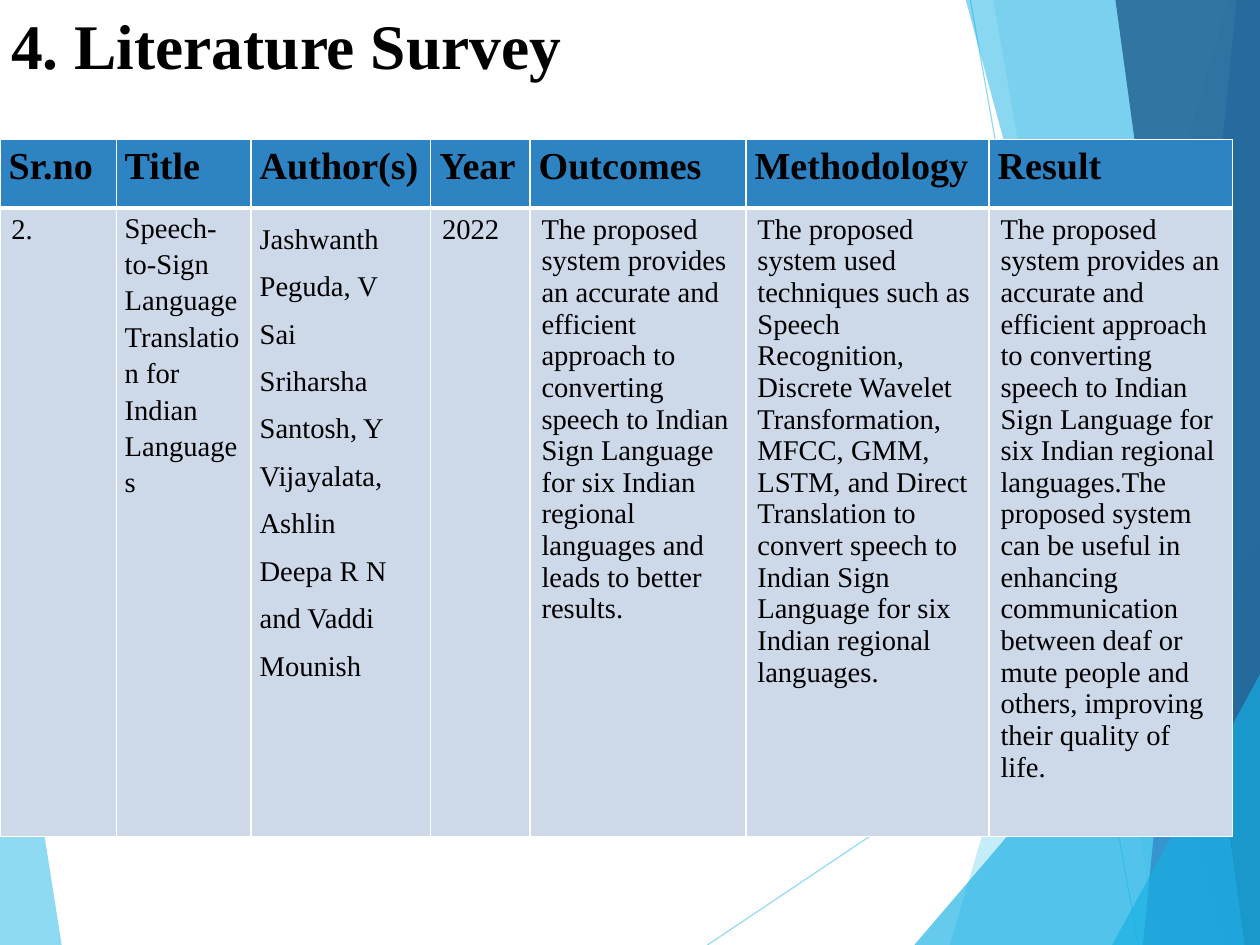
from dataclasses import dataclass

from lxml import etree
from pptx import Presentation
from pptx import util as u
from pptx.dml import color as col
from pptx.enum import shapes as sh
from pptx.enum import text as tx
from pptx.oxml import ns

WIDE, HIGH = 793.75, 595.25


@dataclass(frozen=True)
class Theme:
    font: str = "Times New Roman"
    ink: str = "000000"
    white: str = "FFFFFF"
    pale: str = "5FCBEF"
    sky: str = "17B0E4"
    blue: str = "2E83C3"
    navy: str = "226292"
    body: str = "CDD9E9"
    title: int = 40
    head: int = 24
    text: int = 18


@dataclass(frozen=True)
class Band:
    points: tuple
    fill: str
    alpha: int


@dataclass(frozen=True)
class Ray:
    start: tuple
    end: tuple


@dataclass(frozen=True)
class Style:
    """Margins and spacing of a text."""
    left: float = 7.2
    right: float = 7.2
    top: float = 3.6
    line: float = 1
    before: float = 0
    after: float = 0


@dataclass(frozen=True)
class Column:
    width: float
    head: str
    text: str
    style: Style


T = Theme()
PLAIN = Style()
TIGHT = Style(5.4, 5.4, 0, 1.15, 0.1, 6)
LOOSE = Style(5.4, 20, 0, 1.5, 0, 10)


def right(top: float, foot: float) -> tuple:
    """Outline from a slanted left edge to the right side of the slide."""
    return (top, 0), (foot, HIGH), (WIDE, HIGH), (WIDE, 0)


def wedge(foot: float, rise: float) -> tuple:
    """Triangle in the lower right corner."""
    return (foot, HIGH), (WIDE, rise), (WIDE, HIGH)


DECOR = (
    Band(((0, 348.5), (38.9, HIGH), (0, HIGH)), T.pale, 70),
    Ray((445.7, HIGH), (WIDE, 362.2)),
    Ray((611.3, 0), (717.1, HIGH)),
    Band(right(774, 598.3), T.pale, 36),
    Band(right(625.7, 730.1), T.pale, 20),
    Band(wedge(576, 340.6), T.sky, 66),
    Band(right(608.4, 769.7), T.sky, 50),
    Band(right(779, 720), T.blue, 70),
    Band(right(702.7, 784.1), T.navy, 82),
    Band(wedge(700.6, 424.8), T.sky, 66),
)

SHARED = ("The proposed system provides an accurate and efficient approach to "
          "converting speech to Indian Sign Language for six Indian regional languages")

COLUMNS = (
    Column(73.2, "Sr.no", "2.", PLAIN),
    Column(85, "Title", "Speech-to-Sign Language Translation for Indian Languages", TIGHT),
    Column(113.2, "Author(s)", "Jashwanth Peguda, V Sai Sriharsha Santosh, Y Vijayalata, "
           "Ashlin Deepa R N and Vaddi Mounish", LOOSE),
    Column(62.6, "Year", "2022", PLAIN),
    Column(136, "Outcomes", SHARED + " and leads to better results.", PLAIN),
    Column(153.2, "Methodology", "The proposed system used techniques such as Speech "
           "Recognition, Discrete Wavelet Transformation, MFCC, GMM, LSTM, and Direct "
           "Translation to convert speech to Indian Sign Language for six Indian regional "
           "languages.", PLAIN),
    Column(153.2, "Result", SHARED + ".The proposed system can be useful in enhancing "
           "communication between deaf or mute people and others, improving their quality "
           "of life.", PLAIN),
)
ROWS = (43.2, 372.2)
FRAME = 439.2


def rgb(code: str) -> col.RGBColor:
    return col.RGBColor.from_string(code)


def fade(item, alpha: int) -> None:
    for tone in item.element.spPr.iter(ns.qn("a:srgbClr")):
        etree.SubElement(tone, ns.qn("a:alpha")).set("val", str(alpha * 1000))


def draw_band(slide, band: Band) -> None:
    first, *rest = [(u.Pt(x), u.Pt(y)) for x, y in band.points]
    build = slide.shapes.build_freeform(*first)
    build.add_line_segments(rest, close=True)
    shape = build.convert_to_shape()
    shape.shadow.inherit = False
    shape.fill.solid()
    shape.fill.fore_color.rgb = rgb(band.fill)
    shape.line.fill.background()
    fade(shape, band.alpha)


def draw_ray(slide, ray: Ray) -> None:
    ends = [u.Pt(n) for n in ray.start + ray.end]
    line = slide.shapes.add_connector(sh.MSO_CONNECTOR.STRAIGHT, *ends)
    line.line.color.rgb = rgb(T.pale)
    line.line.width = u.Pt(0.75)
    fade(line, 70)
    etree.SubElement(line.element.spPr, ns.qn("a:effectLst"))


def write(frame, words: str, size: int, bold: bool, style: Style) -> None:
    frame.text = words
    para = frame.paragraphs[0]
    if style != PLAIN:
        para.line_spacing = style.line
        para.space_before = u.Pt(style.before)
        para.space_after = u.Pt(style.after)
    font = para.runs[0].font
    font.name, font.size, font.bold = T.font, u.Pt(size), bold
    font.color.rgb = rgb(T.ink)


def edge(cell, thick: str) -> None:
    """White borders, with a heavy rule on the thick side."""
    props = cell._tc.get_or_add_tcPr()
    for side in "LRTB":
        line = etree.SubElement(props, ns.qn("a:ln" + side))
        line.set("w", str(u.Pt(3 if side == thick else 1)))
        fill = etree.SubElement(line, ns.qn("a:solidFill"))
        etree.SubElement(fill, ns.qn("a:srgbClr")).set("val", T.white)


def fill_cell(cell, words: str, style: Style, head: bool) -> None:
    edge(cell, "B" if head else "T")
    cell.fill.solid()
    cell.fill.fore_color.rgb = rgb(T.blue if head else T.body)
    cell.margin_left, cell.margin_right = u.Pt(style.left), u.Pt(style.right)
    cell.margin_top = cell.margin_bottom = u.Pt(style.top)
    write(cell.text_frame, words, T.head if head else T.text, head, style)


def draw_table(slide) -> None:
    total = sum(c.width for c in COLUMNS)
    holder = slide.shapes.add_table(len(ROWS), len(COLUMNS), 0, u.Pt(87.8),
                                    u.Pt(total), u.Pt(FRAME))
    grid = holder.table
    grid.horz_banding = False
    for row, high in zip(grid.rows, ROWS):
        row.height = u.Pt(high)
    for i, part in enumerate(COLUMNS):
        grid.columns[i].width = u.Pt(part.width)
        fill_cell(grid.cell(0, i), part.head, TIGHT, True)
        fill_cell(grid.cell(1, i), part.text, part.style, False)
    holder.height = u.Pt(FRAME)


def main() -> None:
    deck = Presentation()
    deck.slide_width, deck.slide_height = u.Pt(WIDE), u.Pt(HIGH)
    slide = deck.slides.add_slide(deck.slide_layouts[6])

    # Slanted backdrop
    for item in DECOR:
        if isinstance(item, Band):
            draw_band(slide, item)
        else:
            draw_ray(slide, item)

    # Title
    frame = slide.shapes.add_textbox(0, 0, u.Pt(550.8), u.Pt(57.6)).text_frame
    frame.word_wrap = True
    frame.vertical_anchor = tx.MSO_ANCHOR.MIDDLE
    frame.margin_bottom = u.Pt(6)
    write(frame, "4. Literature Survey", T.title, True, PLAIN)

    # Survey table
    draw_table(slide)
    deck.save("out.pptx")


if __name__ == "__main__":
    main()
